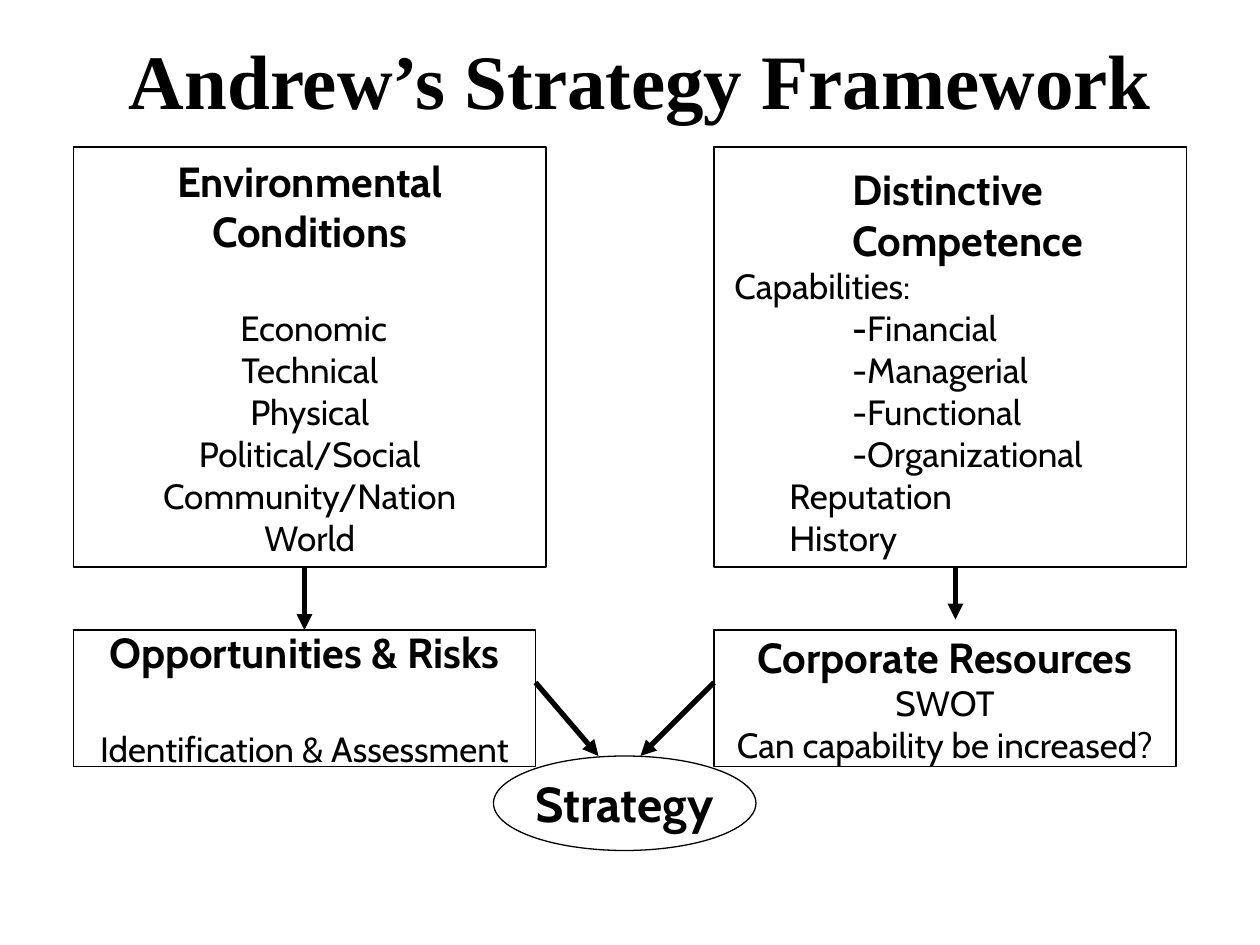
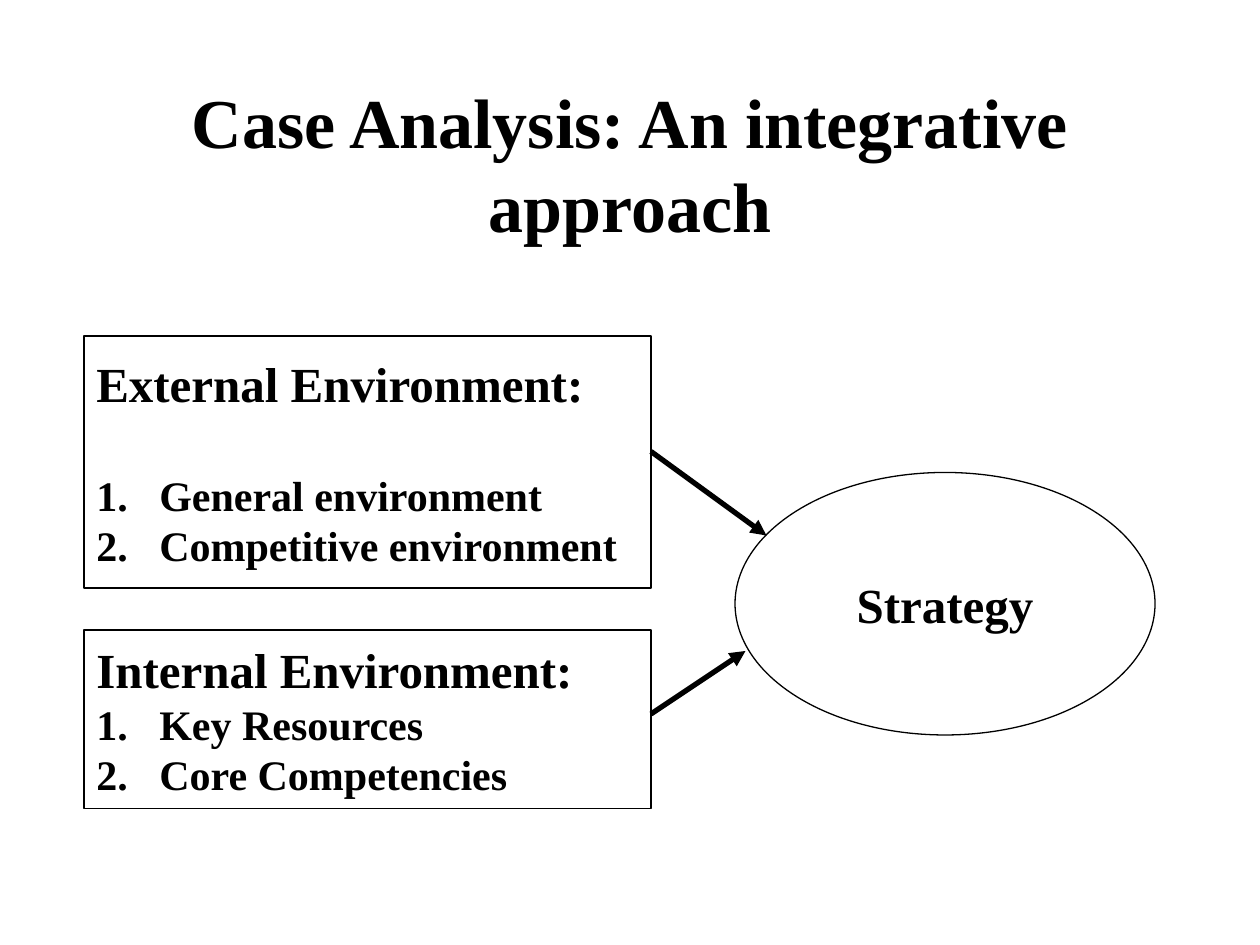
from dataclasses import dataclass

from lxml import etree
from pptx import Presentation
from pptx.dml.color import RGBColor
from pptx.enum.shapes import MSO_CONNECTOR, MSO_SHAPE
from pptx.enum.text import MSO_ANCHOR, PP_ALIGN
from pptx.oxml.ns import qn
from pptx.util import Emu, Pt

PX = 9525  # 96 px to the inch
RECT, OVAL = MSO_SHAPE.RECTANGLE, MSO_SHAPE.OVAL
STRAIGHT = MSO_CONNECTOR.STRAIGHT
MIDDLE = MSO_ANCHOR.MIDDLE
LEFT, CENTER = PP_ALIGN.LEFT, PP_ALIGN.CENTER
TOP = 0


@dataclass(frozen=True)
class Theme:
    ink: RGBColor = RGBColor(0, 0, 0)
    serif: str = "Times New Roman"
    sans: str = "Cabin"
    head: int = 24
    body: int = 20
    big: int = 28
    thin: float = 0.75
    thick: float = 3


@dataclass(frozen=True)
class Line:
    text: str
    size: int
    bold: bool = True
    indent: int = 0
    gap: float = 0  # points above
    lead: str = ""  # bold mark before the text
    number: bool = False


THEME = Theme()


def px(*values):
    return [Emu(value * PX) for value in values]


def head(text, **more):
    return Line(text, THEME.head, **more)


def body(text, **more):
    return Line(text, THEME.body, bold=False, **more)


def big(text):
    return Line(text, THEME.big)


def item(text, gap=0):
    return Line(text, THEME.head, indent=48, gap=gap, number=True)


def indent(para, line):
    props = para._p.get_or_add_pPr()
    props.set("marL", str(line.indent * PX))
    if line.number:
        props.set("indent", str(-line.indent * PX))
        etree.SubElement(props, qn("a:buAutoNum"), type="arabicPeriod")


def write(frame, lines, face, align):
    frame.vertical_anchor = MIDDLE
    for i, line in enumerate(lines):
        para = frame.paragraphs[0] if i == 0 else frame.add_paragraph()
        para.alignment = align
        if line.gap:
            para.space_before = Pt(line.gap)
        if line.indent:
            indent(para, line)
        font = para.font
        font.name, font.size, font.bold = face, Pt(line.size), line.bold
        font.color.rgb = THEME.ink
        if line.lead:
            mark = para.add_run()
            mark.text, mark.font.bold = line.lead, True
        para.add_run().text = line.text


def title(slide, place, text, size):
    frame = slide.shapes.add_textbox(*px(*place)).text_frame
    frame.word_wrap = True
    write(frame, [Line(text, size)], THEME.serif, CENTER)


def panel(slide, place, lines, face, align=CENTER, kind=RECT):
    shape = slide.shapes.add_shape(kind, *px(*place))
    shape.shadow.inherit = False
    shape.fill.background()
    shape.line.color.rgb = THEME.ink
    shape.line.width = Pt(THEME.thin)
    shape.text_frame.word_wrap = kind == RECT
    write(shape.text_frame, lines, face, align)
    return shape


def arrow(slide, start, end, goal=None):
    """Draw an arrow; goal is a box to join at its top middle."""
    link = slide.shapes.add_connector(STRAIGHT, *px(*start, *end))
    if goal is not None:
        link.end_connect(goal, TOP)
    link.line.color.rgb = THEME.ink
    link.line.width = Pt(THEME.thick)
    etree.SubElement(link.line._get_or_add_ln(), qn("a:tailEnd"), type="triangle")
    etree.SubElement(link._element.spPr, qn("a:effectLst"))


def framework(slide):
    face = THEME.sans
    title(slide, (80, 0, 816, 120), "Andrew’s Strategy Framework", 44)
    left, right, high, low = 56, 544, 112, 480

    panel(slide, (left, high, 360, 320), [
        head("Environmental"), head("Conditions"),
        body("Economic", indent=6, gap=28.8),
        *map(body, ("Technical", "Physical", "Political/Social",
                    "Community/Nation", "World")),
    ], face)
    risks = panel(slide, (left, low, 352, 104), [
        head("Opportunities & Risks"),
        body("Identification & Assessment", gap=28.8),
    ], face)
    arrow(slide, (232, 432), (232, low), risks)

    skills = panel(slide, (right, high, 360, 320), [
        head("Distinctive", indent=96), head("Competence", indent=96),
        body("Capabilities:", indent=6),
        body("Financial", indent=96, lead="-"),
        *(body(text, indent=96) for text in
          ("-Managerial", "-Functional", "-Organizational")),
        body("Reputation", indent=48), body("History", indent=48),
    ], face, LEFT)
    skills.text_frame.margin_top = Emu(11 * PX)
    panel(slide, (right, low, 352, 104), [
        head("Corporate Resources"), body("SWOT"),
        body("Can capability be increased?"),
    ], face)
    arrow(slide, (728, 432), (728, 472))

    panel(slide, (376, 576, 200, 72), [big("Strategy")], face, kind=OVAL)
    arrow(slide, (408, 520), (456, 576))
    arrow(slide, (right, 520), (488, 576))


def approach(slide):
    face = THEME.serif
    title(slide, (72, 64, 816, 120), "Case Analysis: An integrative approach", 40)
    panel(slide, (64, 256, 432, 192), [
        big("External Environment:"),
        item("General environment", gap=32.2), item("Competitive environment"),
    ], face, LEFT)
    panel(slide, (64, 480, 432, 136), [
        big("Internal Environment:"),
        item("Key Resources"), item("Core Competencies"),
    ], face, LEFT)
    panel(slide, (560, 360, 320, 200), [big("Strategy")], face, kind=OVAL)
    arrow(slide, (496, 344), (584, 408))
    arrow(slide, (496, 544), (568, 496))


def main():
    deck = Presentation()
    deck.slide_width, deck.slide_height = px(960, 720)
    blank = deck.slide_layouts[6]
    for build in (framework, approach):
        build(deck.slides.add_slide(blank))
    deck.save("out.pptx")


if __name__ == "__main__":
    main()
